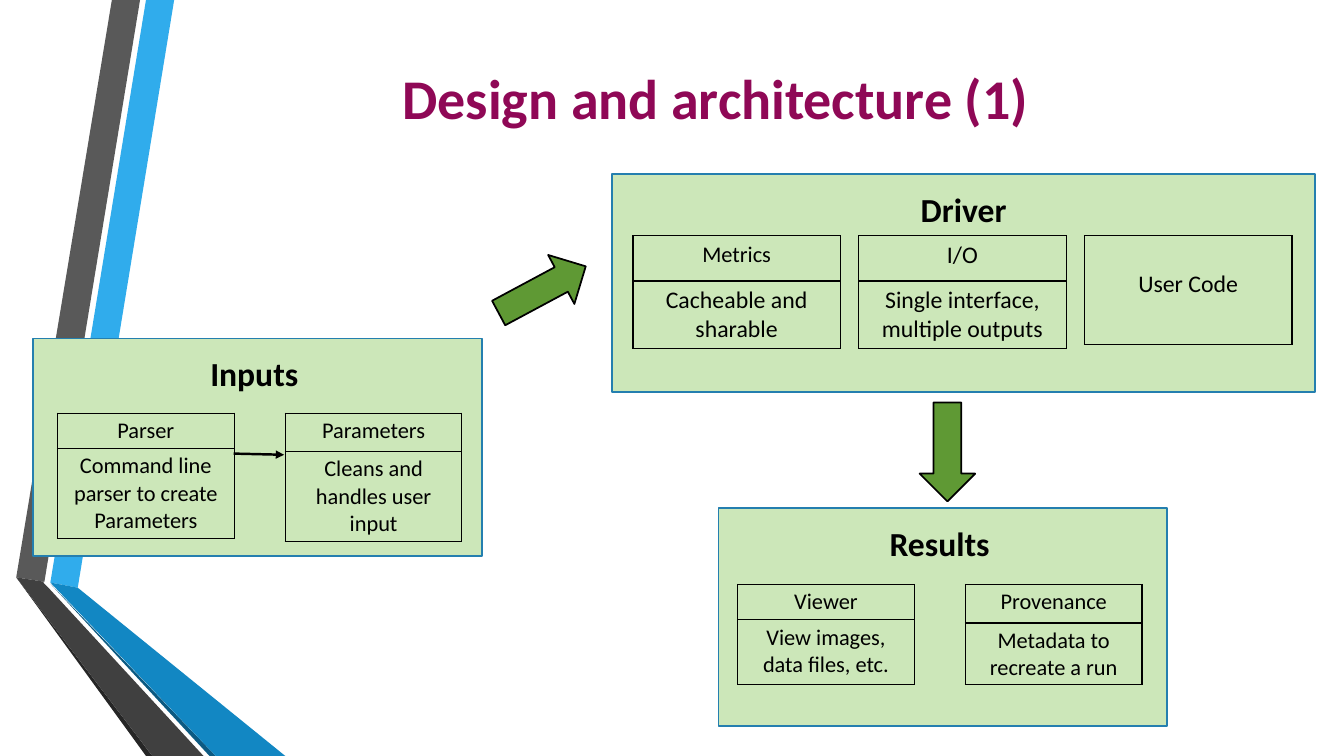
"""Build the slide on design and architecture: inputs, driver and results."""
import pptx
import pptx.dml.color
import pptx.enum.shapes
import pptx.enum.text
import pptx.oxml
import pptx.oxml.ns
import pptx.util
from pptx.util import Cm

COLORS = {
    "title": "8F0856", "ink": "000000", "panel": "CCE7B9", "panel_edge": "247FAF",
    "arrow": "5F9934", "sky": "30ACEC", "gray": "595959", "black": "262626",
    "navy": "0C5A82", "blue": "1287C3", "charcoal": "404040",
}
RGB = {name: pptx.dml.color.RGBColor.from_string(value) for name, value in COLORS.items()}
SHAPES = pptx.enum.shapes.MSO_SHAPE
ANCHORS = pptx.enum.text.MSO_ANCHOR


def write(frame, text, size=16, bold=False, color="ink", anchor=ANCHORS.TOP):
    frame.word_wrap = True
    frame.vertical_anchor = anchor
    paragraph = frame.paragraphs[0]
    paragraph.alignment = pptx.enum.text.PP_ALIGN.CENTER
    run = paragraph.add_run()
    run.text = text
    run.font.name = "Calibri"
    run.font.size = pptx.util.Pt(size)
    run.font.bold = bold
    run.font.color.rgb = RGB[color]


def paint(shape, fill, edge=None):
    shape.shadow.inherit = False
    shape.fill.solid()
    shape.fill.fore_color.rgb = RGB[fill]
    if edge:
        shape.line.color.rgb = RGB[edge]
        shape.line.width = pptx.util.Pt(1.25)
    else:
        shape.line.fill.background()


deck = pptx.Presentation()
deck.slide_width, deck.slide_height = Cm(33.87), Cm(19.05)
slide = deck.slides.add_slide(deck.slide_layouts[6])
shapes = slide.shapes

ribbons = [
    ("sky", [(1.27, 14.68), (1.96, 14.81), (4.39, 0), (3.68, 0)]),
    ("gray", [(3.53, 0), (2.82, 0), (0.41, 14.55), (1.12, 14.66)]),
    ("black", [(0.41, 14.55), (3.68, 19.05), (3.84, 19.05)]),
    ("navy", [(1.27, 14.71), (5.28, 19.05), (5.44, 19.05)]),
    ("blue", [(1.27, 14.68), (5.44, 19.05), (7.19, 19.05), (1.96, 14.81)]),
    ("charcoal", [(5.13, 19.05), (1.22, 14.81), (1.09, 14.68), (1.12, 14.66),
                  (0.41, 14.55), (3.84, 19.05)]),
]
for color, corners in ribbons:
    points = [(Cm(x), Cm(y)) for x, y in corners]
    outline = shapes.build_freeform(*points[0])
    outline.add_line_segments(points[1:], close=True)
    paint(outline.convert_to_shape(), color)

title = shapes.add_textbox(Cm(4.11), Cm(0), Cm(27.84), Cm(4.88))
write(title.text_frame, "Design and architecture (1)", size=40, bold=True,
      color="title", anchor=ANCHORS.MIDDLE)

small = {"width": 4.45, "step": 5.74, "margins": (0.2, 0.1)}
large = {"width": 5.23, "step": 5.69, "margins": (0.25, 0.13)}
panels = [
    ("Inputs", (0.84, 8.53, 11.3), -0.08, (1.45, 10.41), small, [
        [("Parser", 16, 0.89), ("Command line parser to create Parameters", 16, 2.27)],
        [("Parameters", 16, 0.97), ("Cleans and handles user input", 16, 2.27)],
    ]),
    ("Driver", (15.42, 4.39, 17.73), 0, (15.95, 5.94), large, [
        [("Metrics", 16, 1.14), ("Cacheable and sharable", 17, 1.7)],
        [("I/O", 17, 1.14), ("Single interface, multiple outputs", 17, 1.7)],
        [("User Code", 17, 2.74)],
    ]),
    ("Results", (18.11, 12.8, 11.3), -0.08, (18.59, 14.73), small, [
        [("Viewer", 16, 0.89), ("View images, data files, etc.", 16, 1.63)],
        [("Provenance", 16, 0.97), ("Metadata to recreate a run", 16, 1.55)],
    ]),
]
for heading, (left, top, width), shift, (first, row_top), layout, modules in panels:
    panel = shapes.add_shape(SHAPES.RECTANGLE, Cm(left), Cm(top), Cm(width), Cm(5.49))
    paint(panel, "panel", "panel_edge")
    label = shapes.add_textbox(Cm(left + shift), Cm(top + 0.25), Cm(width), Cm(1.27))
    write(label.text_frame, heading, size=24, bold=True)

    for index, rows in enumerate(modules):
        module = shapes.add_table(
            len(rows), 1, Cm(first + index * layout["step"]), Cm(row_top),
            Cm(layout["width"]), Cm(sum(height for _, _, height in rows))).table
        module.first_row = module.horz_banding = False
        side, edge = layout["margins"]
        for row, (text, size, height) in enumerate(rows):
            module.rows[row].height = Cm(height)
            cell = module.cell(row, 0)
            cell.margin_left = cell.margin_right = Cm(side)
            cell.margin_top = Cm(0.86 if len(rows) == 1 else edge)
            cell.margin_bottom = Cm(edge)
            write(cell.text_frame, text, size=size)
            cell.fill.background()
            properties = cell._tc.get_or_add_tcPr()
            for position, border in enumerate(("lnL", "lnR", "lnT", "lnB")):
                properties.insert(position, pptx.oxml.parse_xml(
                    f'<a:{border} {pptx.oxml.ns.nsdecls("a")} w="12700"><a:solidFill>'
                    f'<a:srgbClr val="{COLORS["ink"]}"/></a:solidFill></a:{border}>'))

parser_link = shapes.add_connector(
    pptx.enum.shapes.MSO_CONNECTOR.STRAIGHT, Cm(5.89), Cm(11.43), Cm(7.16), Cm(11.46))
parser_link.line.color.rgb = RGB["ink"]
parser_link.line.width = pptx.util.Pt(1.75)
parser_link.line._get_or_add_ln().append(pptx.oxml.parse_xml(
    f'<a:tailEnd {pptx.oxml.ns.nsdecls("a")} type="triangle"/>'))
parser_link._element.spPr.append(pptx.oxml.parse_xml(
    f'<a:effectLst {pptx.oxml.ns.nsdecls("a")}/>'))

for left, top, rotation in [(12.42, 6.6, 331.8), (22.63, 10.69, 90)]:
    flow = shapes.add_shape(SHAPES.RIGHT_ARROW, Cm(left), Cm(top), Cm(2.49), Cm(1.4))
    flow.rotation = rotation
    paint(flow, "arrow", "ink")

deck.save("out.pptx")
